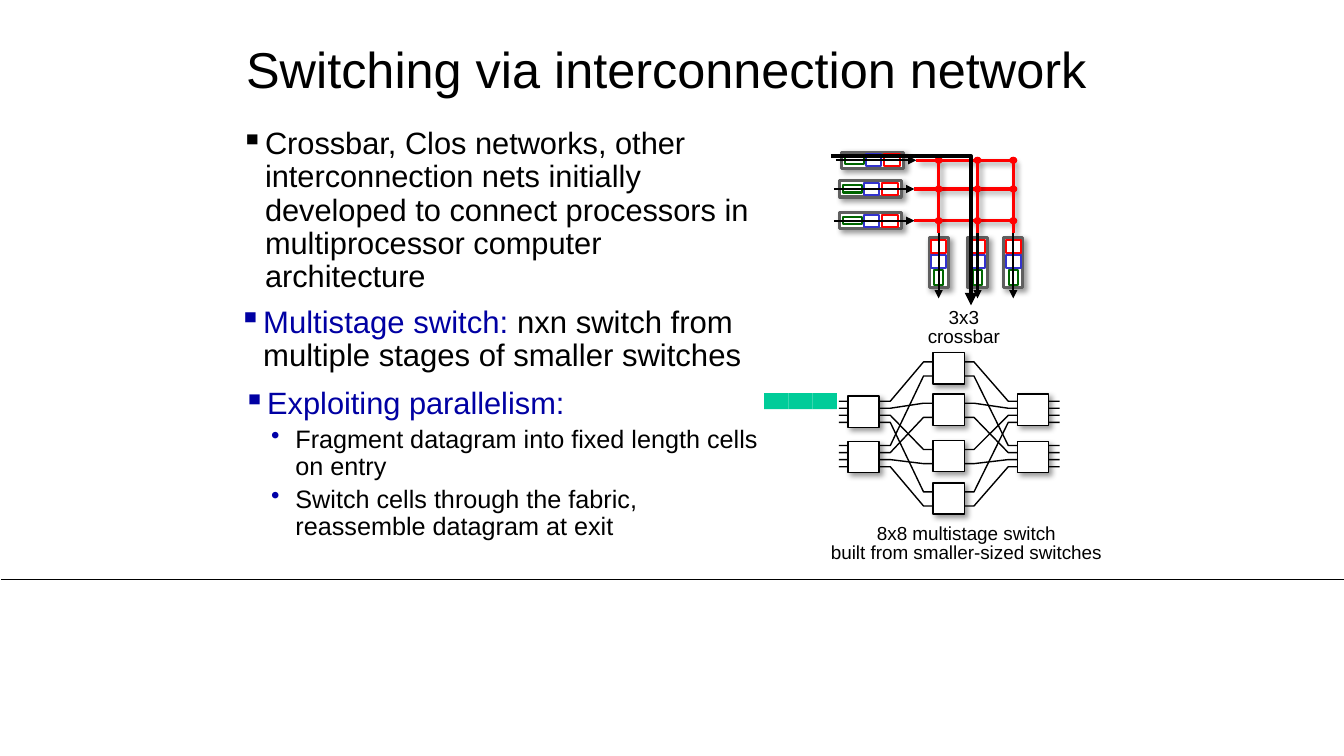
from dataclasses import dataclass
from itertools import product
from typing import Any, NamedTuple

from lxml.etree import SubElement
from pptx import Presentation
from pptx.dml.color import RGBColor
from pptx.enum.shapes import MSO_CONNECTOR, MSO_SHAPE
from pptx.enum.text import MSO_ANCHOR, MSO_AUTO_SIZE, PP_ALIGN
from pptx.oxml.ns import qn
from pptx.util import Emu, Inches, Pt

CELL = Inches(0.1)
COLORS = {
    "black": "000000", "white": "FFFFFF", "gray": "5F5F5F", "green": "006600",
    "blue": "3333CC", "red": "FF0000", "navy": "0000A3", "bullet": "0000A8",
    "packet": "00CC99",
}


class Box(NamedTuple):
    left: float
    top: float
    width: float
    height: float


class Part(NamedTuple):
    offset: float
    length: float
    thickness: float
    color: str
    weight: float


class Buffer(NamedTuple):
    x: float
    y: float
    vertical: bool


@dataclass
class Text:
    runs: list[tuple[str, str]]
    size: float
    spacing: float = 0.9
    before: float = 0
    align: Any = PP_ALIGN.LEFT
    bullet: str = ""
    bullet_color: str = "navy"
    indent: float = 0
    level: int = 0


INPUT_PARTS = [
    Part(0, 6.1, 1.6, "gray", 2.25), Part(-1.8, 1.9, 0.7, "green", 1.5),
    Part(0.1, 1.5, 1.2, "blue", 1.5), Part(1.95, 1.6, 1.2, "red", 1.5),
]
OUTPUT_PARTS = [
    Part(0, 5, 1.9, "gray", 2.25), Part(1.5, 1.5, 0.9, "green", 1.5),
    Part(-0.1, 1.3, 1.5, "blue", 1.5), Part(-1.6, 1.3, 1.5, "red", 1.5),
]
INPUTS = [Buffer(86.55, 15.9, False), Buffer(86.35, 18.75, False), Buffer(86.35, 21.9, False)]
OUTPUTS = [Buffer(x, 26.05, True) for x in (100.5, 96.95, 93.1)]
MIDDLE_TOPS = (35, 39.1, 43.7, 47.9)
SWITCHES = (
    [(84.1, top) for top in (39.3, 43.8)]
    + [(92.55, top) for top in MIDDLE_TOPS]
    + [(100.9, top) for top in (39.1, 43.8)]
)
WIRE_COLUMNS = (83.2, 88.3, 91.6, 96.6, 100, 105.1)

TEXTS = [
    (Box(23, 3.5, 86.2, 7.3), {"vertical_anchor": MSO_ANCHOR.MIDDLE}, [
        Text([("Switching via interconnection network", "black")], 36, align=PP_ALIGN.CENTER)]),
    (Box(22.8, 12.2, 53.1, 41.8), {}, [
        Text([("Crossbar, Clos networks, other interconnection nets initially developed "
               "to connect processors in multiprocessor computer architecture", "black")],
             22, before=10, bullet="▪", bullet_color="black", indent=0.25)]),
]
SMALL_INSETS = {"margin_left": Inches(0.07), "margin_right": Inches(0.07),
                "margin_top": Inches(0.04), "margin_bottom": Inches(0.04)}
NESTED = {"size": 18, "before": 3.8, "bullet": "•", "bullet_color": "bullet",
          "indent": 0.57, "level": 1}
POINTS = [
    (Box(22.5, 30, 53.1, 9), SMALL_INSETS, [
        Text([("Multistage switch: ", "navy"),
              ("nxn switch from multiple stages of smaller switches", "black")],
             22.2, before=7.5, bullet="▪", indent=0.29)]),
    (Box(22.9, 38.1, 53.1, 17.4), SMALL_INSETS, [
        Text([("Exploiting parallelism:", "navy")], 22, before=7.5, bullet="▪", indent=0.29),
        Text([("Fragment datagram into fixed length cells on entry", "black")], **NESTED),
        Text([("Switch cells through the fabric, reassemble datagram at exit", "black")],
             **NESTED)]),
    (Box(90.1, 30.2, 11, 4.7), {}, [
        Text([("3x3 crossbar", "black")], 13.5, 0.85, align=PP_ALIGN.CENTER)]),
]
CAPTION = (Box(81.2, 51.6, 29.3, 4.9),
           {"word_wrap": False, "auto_size": MSO_AUTO_SIZE.SHAPE_TO_FIT_TEXT}, [
    Text([(line, "black")], 13.5, 0.85, align=PP_ALIGN.CENTER)
    for line in ("8x8 multistage switch", "built from smaller-sized switches")])


def grid(count: float) -> Emu:
    """Convert grid columns or rows to a length."""
    return Emu(round(count * CELL))


def rgb(name: str) -> RGBColor:
    """Look up a named colour."""
    return RGBColor.from_string(COLORS[name])


def apply_format(target: Any, values: dict[str, Any]) -> None:
    """Set each format value on the target."""
    for name, value in values.items():
        setattr(target, name, value)


def finish(shape: Any, color: str, weight: float, shadow: bool = False, arrow: bool = False) -> None:
    """Set the outline, arrowhead and shadow of a shape."""
    if color:
        shape.line.color.rgb = rgb(color)
        shape.line.width = Pt(weight)
    else:
        shape.line.fill.background()
    properties = shape._element.spPr
    if arrow:
        SubElement(properties.find(qn("a:ln")), qn("a:tailEnd"), type="triangle")
    effects = SubElement(properties, qn("a:effectLst"))
    if shadow:
        outer = SubElement(effects, qn("a:outerShdw"), blurRad=str(Pt(4)), dist=str(Pt(3)),
                           dir="2700000", algn="ctr", rotWithShape="0")
        shade = SubElement(outer, qn("a:srgbClr"), val=COLORS["black"])
        SubElement(shade, qn("a:alpha"), val="40000")


def draw_shape(shapes: Any, kind: Any, box: Box, fill: str, color: str = "",
               weight: float = 1, shadow: bool = False, rotation: float = 0) -> None:
    """Draw a filled preset shape."""
    shape = shapes.add_shape(kind, *map(grid, box))
    shape.rotation = rotation
    shape.fill.solid()
    shape.fill.fore_color.rgb = rgb(fill)
    finish(shape, color, weight, shadow)


def draw_line(shapes: Any, ends: tuple[float, ...], color: str, weight: float,
              shadow: bool = False, arrow: bool = False) -> None:
    """Draw a straight line between two grid points."""
    line = shapes.add_connector(MSO_CONNECTOR.STRAIGHT, *map(grid, ends))
    finish(line, color, weight, shadow, arrow)


def draw_route(shapes: Any, points: list[tuple[float, float]], weight: float, arrow: bool = False) -> None:
    """Draw an open black route through grid points."""
    start, *others = [(grid(x), grid(y)) for x, y in points]
    builder = shapes.build_freeform(*start, scale=1.0)
    route = builder.add_line_segments(others, close=False).convert_to_shape()
    route.fill.background()
    finish(route, "black", weight, arrow=arrow)


def draw_text(shapes: Any, box: Box, frame_format: dict[str, Any], texts: list[Text]) -> None:
    """Write paragraphs in a text box."""
    frame = shapes.add_textbox(*map(grid, box)).text_frame
    apply_format(frame, {"word_wrap": True} | frame_format)
    for index, text in enumerate(texts):
        paragraph = frame.add_paragraph() if index else frame.paragraphs[0]
        apply_format(paragraph, {"alignment": text.align, "line_spacing": text.spacing,
                                 "space_before": Pt(text.before), "level": text.level})
        for words, color in text.runs:
            run = paragraph.add_run()
            run.text = words
            apply_format(run.font, {"name": "Arial", "size": Pt(text.size)})
            run.font.color.rgb = rgb(color)
        if text.bullet:
            properties = paragraph._p.get_or_add_pPr()
            properties.set("marL", str(Inches(text.indent)))
            properties.set("indent", str(Inches(-0.24)))
            tint = SubElement(properties, qn("a:buClr"))
            SubElement(tint, qn("a:srgbClr"), val=COLORS[text.bullet_color])
            SubElement(properties, qn("a:buChar"), char=text.bullet)


def draw_buffer(shapes: Any, buffer: Buffer) -> None:
    """Draw a port buffer with its cells and arrow."""
    x, y, vertical = buffer
    for part in OUTPUT_PARTS if vertical else INPUT_PARTS:
        left = x - part.length / 2 + (0 if vertical else part.offset)
        top = y - part.thickness / 2 + (part.offset if vertical else 0)
        draw_shape(shapes, MSO_SHAPE.RECTANGLE, Box(left, top, part.length, part.thickness),
                   "white", part.color, part.weight, part.color == "gray", 90 if vertical else 0)
    ends = (x, y - 2.95, x, y + 3.55) if vertical else (x - 3.65, y, x + 4.35, y)
    draw_line(shapes, ends, "black", 1.5, arrow=True)


def draw_crossbar(shapes: Any) -> None:
    """Draw the 3x3 crossbar and the chosen route."""
    for buffer in INPUTS + OUTPUTS:
        draw_buffer(shapes, buffer)
    for port in INPUTS:
        draw_line(shapes, (port.x + 4.35, port.y, 100.5, port.y), "red", 2.25, True)
    for port in OUTPUTS:
        draw_line(shapes, (port.x, 23.1, port.x, 15.9), "red", 2.25, True)
    for column, row in product(OUTPUTS, INPUTS):
        draw_shape(shapes, MSO_SHAPE.OVAL, Box(column.x - 0.4, row.y - 0.35, 0.8, 0.7), "red")
    draw_route(shapes, [(82.4, 15.5), (96.3, 15.5), (96.3, 30.3)], 3, True)


def draw_multistage(shapes: Any) -> None:
    """Draw the 8x8 multistage switch with its caption."""
    for half, (port, top) in product(range(2), enumerate(MIDDLE_TOPS)):
        outer, middle = 39.8 + 4.4 * half + 0.7 * port, top + 0.9 + 1.4 * half
        rows = (outer, outer, middle, middle, outer, outer)
        draw_route(shapes, list(zip(WIRE_COLUMNS, rows)), 1)
    for left, top in SWITCHES:
        draw_shape(shapes, MSO_SHAPE.RECTANGLE, Box(left, top, 3.1, 3.1), "white", "black", 1, True)
    draw_text(shapes, *CAPTION)


def main() -> None:
    """Build and save the slide."""
    presentation = Presentation()
    apply_format(presentation, {"slide_width": Inches(13.33), "slide_height": Inches(7.5)})
    slide = presentation.slides.add_slide(presentation.slide_layouts[6])
    draw_line(slide.shapes, (0.1, 57.5, 133.5, 57.5), "black", 0.5)
    for text in TEXTS:
        draw_text(slide.shapes, *text)
    draw_crossbar(slide.shapes.add_group_shape().shapes)
    draw_multistage(slide.shapes.add_group_shape().shapes)
    for text in POINTS:
        draw_text(slide.shapes, *text)
    for index in range(3):
        draw_shape(slide.shapes, MSO_SHAPE.RECTANGLE, Box(75.8 + 2.4 * index, 39, 2.4, 1.6), "packet")
    presentation.save("out.pptx")


if __name__ == "__main__":
    main()
